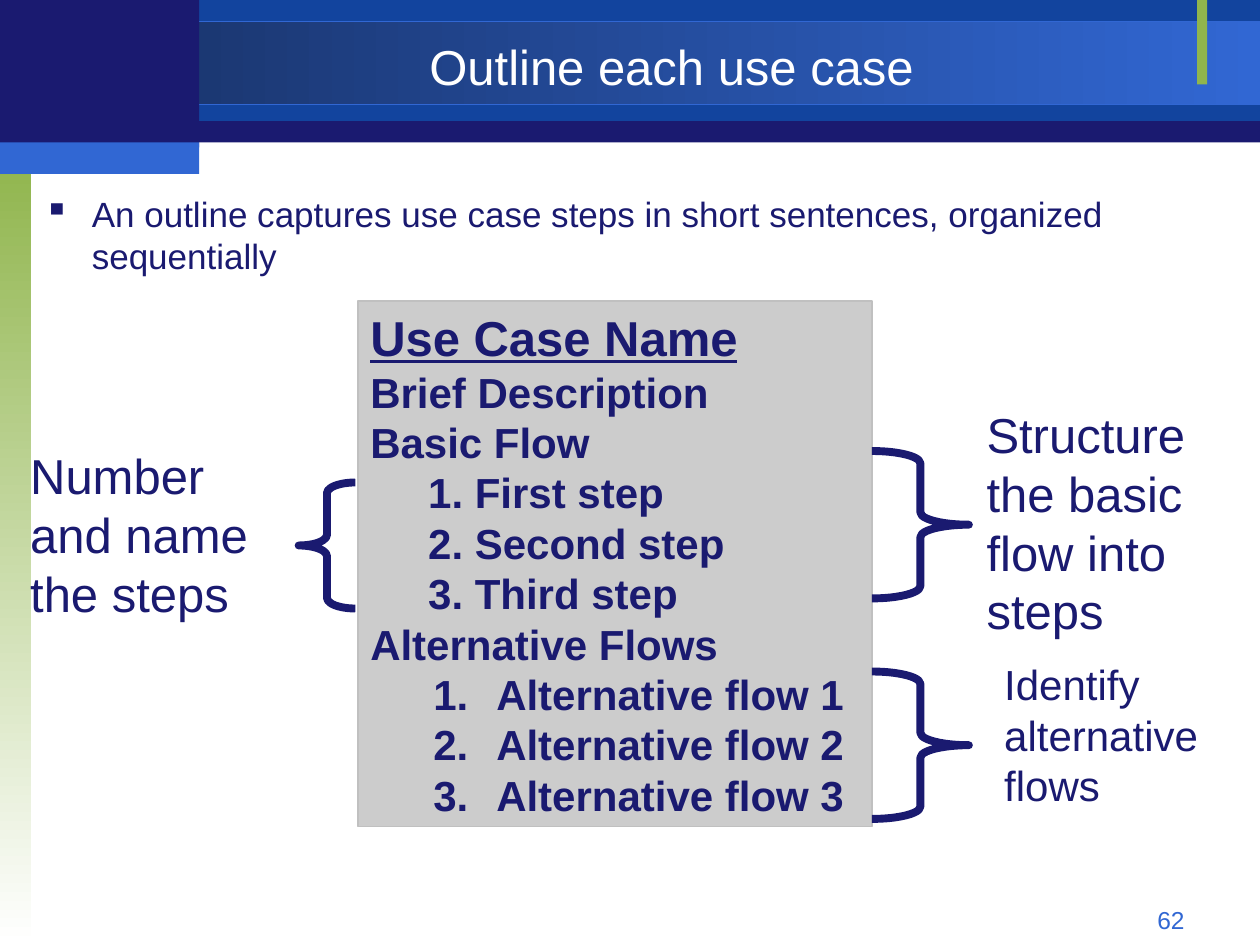
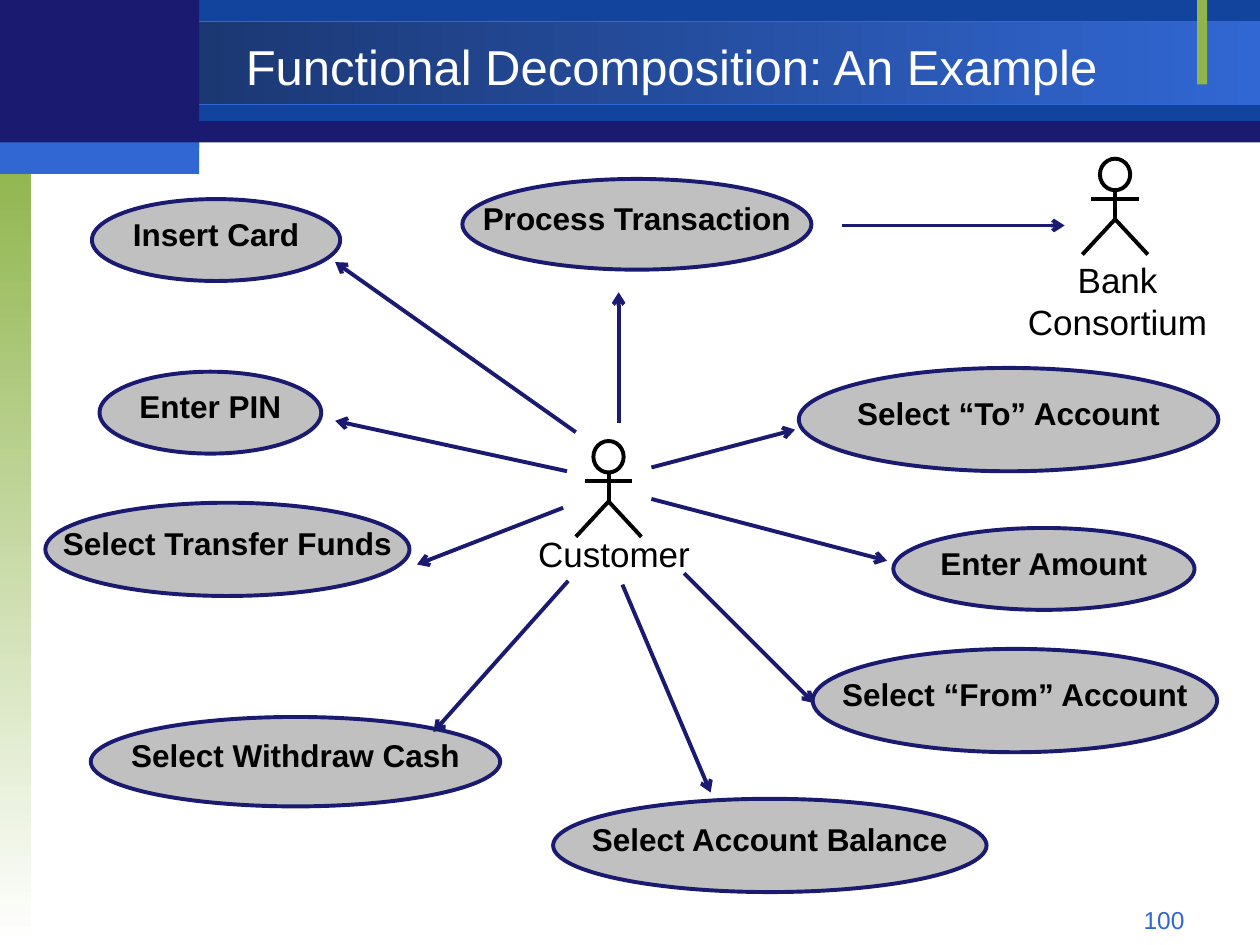
"""Build two slides on use cases: an outline and a functional decomposition."""
import lxml.etree
import pptx
import pptx.dml.color
import pptx.enum.shapes
import pptx.enum.text
import pptx.oxml.ns
import pptx.util

Inches = pptx.util.Inches
Pt = pptx.util.Pt
RGB = pptx.dml.color.RGBColor
KIND = pptx.enum.shapes.MSO_SHAPE
ALIGN = pptx.enum.text.PP_ALIGN
ANCHOR = pptx.enum.text.MSO_ANCHOR

NAVY = RGB(0x1A, 0x1A, 0x70)
ROYAL = RGB(0x12, 0x44, 0x9E)
DUSK = RGB(0x17, 0x2F, 0x61)
BLUE = RGB(0x31, 0x67, 0xD3)
GREEN = RGB(0x90, 0xB5, 0x4D)
GRAY = RGB(0xC0, 0xC0, 0xC0)
PALE = RGB(0xCC, 0xCC, 0xCC)
WHITE = RGB(0xFF, 0xFF, 0xFF)
BLACK = RGB(0, 0, 0)

FONT = "Arial"
SNUG = (0.1, 0.05, 0.1, 0.05)
ROOMY = (0.12, 0.06, 0.12, 0.06)
RAISED = (0.1, 0.05, 0.1, 0.15)

# box, fill (a pair fades), line, fade angle
BANDS = [
    ((0, 0.01, 10, 1.12), NAVY, None, 0),
    ((1.58, 0, 8.42, 0.96), ROYAL, None, 0),
    ((0, 0.17, 10, 0.66), (DUSK, BLUE), BLUE, 0),
    ((0, 1.25, 0.25, 6.25), (GREEN, WHITE), None, 270),
    ((9.5, 0, 0.08, 0.67), GREEN, None, 0),
    ((0, 0, 1.58, 1.17), NAVY, None, 0),
    ((0, 1.13, 1.58, 0.25), BLUE, None, 0),
]

POINT = "An outline captures use case steps in short sentences, organized sequentially"
HEADING = "Use Case Name"
# text, left margin, numbered
OUTLINE = [
    ("Brief Description", 0, False),
    ("Basic Flow", 0, False),
    ("1. First step", 0.46, False),
    ("2. Second step", 0.46, False),
    ("3. Third step", 0.46, False),
    ("Alternative Flows", 0, False),
    ("Alternative flow 1", 1, True),
    ("Alternative flow 2", 1, True),
    ("Alternative flow 3", 1, True),
]
LABELS = [
    ((7.71, 3.15, 2.15, 1.99), ["Structure the basic flow into steps"], 28),
    ((0.12, 3.48, 2.3, 1.52), ["Number and name the steps"], 28),
    ((7.85, 5.17, 2.15, 1.33), ["Identify", "alternative", "flows"], 24),
]
BRACES = [
    (KIND.RIGHT_BRACE, (6.92, 3.58, 0.77, 1.17), 0.127),
    (KIND.RIGHT_BRACE, (6.92, 5.33, 0.77, 1.17), 0.127),
    (KIND.LEFT_BRACE, (2.37, 3.83, 0.45, 1), 0.187),
]

CASES = [
    ("Enter PIN", (0.79, 2.95, 1.76, 0.65)),
    ("Insert Card", (0.73, 1.58, 1.97, 0.65)),
    ("Select “From” Account", (6.45, 5.15, 3.21, 0.82)),
    ("Enter Amount", (7.09, 4.19, 2.39, 0.65)),
    ("Select Withdraw Cash", (0.72, 5.69, 3.25, 0.71)),
    ("Select Account Balance", (4.39, 6.34, 3.44, 0.74)),
    ("Select Transfer Funds", (0.36, 3.99, 2.89, 0.74)),
    ("Select “To” Account", (6.34, 2.92, 3.33, 0.82)),
    ("Process Transaction", (3.67, 1.42, 2.77, 0.72)),
]
ARROWS = [
    (4.57, 3.43, 2.66, 2.08),
    (4.5, 3.74, 2.66, 3.34),
    (4.47, 4.03, 3.31, 4.48),
    (4.51, 4.61, 3.44, 5.81),
    (4.94, 4.64, 5.64, 6.29),
    (5.43, 4.55, 6.46, 5.58),
    (5.17, 3.96, 7.04, 4.45),
    (5.17, 3.71, 6.31, 3.41),
    (4.91, 3.36, 4.91, 2.32),
    (6.68, 1.79, 8.45, 1.79),
]
# name, head centre and top, label box, wrap
ACTORS = [
    ("Customer", (4.83, 3.5), (4.15, 4.17, 1.45, 0.46), False),
    ("Bank Consortium", (8.85, 1.26), (7.92, 1.99, 1.9, 0.78), True),
]


def style(shape, fill=None, line=None, width=0.75, angle=0):
    """Set fill and line, and drop the shadow."""
    shape.shadow.inherit = False
    if fill is None:
        shape.fill.background()
    elif isinstance(fill, RGB):
        shape.fill.solid()
        shape.fill.fore_color.rgb = fill
    else:
        shape.fill.gradient()
        shape.fill.gradient_angle = angle
        for stop, tone, place in zip(shape.fill.gradient_stops, fill, (0, 1)):
            stop.color.rgb = tone
            stop.position = place
    if line is None:
        shape.line.fill.background()
    else:
        shape.line.color.rgb = line
        shape.line.width = Pt(width)


def draw(shapes, kind, box, **look):
    """Add a preset shape."""
    shape = shapes.add_shape(kind, *map(Inches, box))
    style(shape, **look)
    return shape


def link(shapes, ends, tone, arrow=False):
    """Add a straight line, with an arrowhead if asked."""
    line = shapes.add_connector(
        pptx.enum.shapes.MSO_CONNECTOR.STRAIGHT, *map(Inches, ends))
    line.line.color.rgb = tone
    line.line.width = Pt(2.25)
    qn = pptx.oxml.ns.qn
    if arrow:
        stroke = line.line._get_or_add_ln()
        lxml.etree.SubElement(stroke, qn("a:tailEnd"), type="arrow")
    lxml.etree.SubElement(line._element.spPr, qn("a:effectLst"))


def write(shape, texts, size, tone, bold=False, align=ALIGN.LEFT,
          anchor=ANCHOR.TOP, pad=SNUG, wrap=True):
    """Fill a shape with paragraphs and return them."""
    frame = shape.text_frame
    frame.word_wrap = wrap
    frame.vertical_anchor = anchor
    (frame.margin_left, frame.margin_top,
     frame.margin_right, frame.margin_bottom) = map(Inches, pad)
    frame.text = "\n".join(texts)
    for para in frame.paragraphs:
        para.alignment = align
        para.font.name = FONT
        para.font.size = Pt(size)
        para.font.bold = bold
        para.font.color.rgb = tone
    return frame.paragraphs


def label(slide, box, texts, size, tone, **look):
    """Add a text box."""
    shape = slide.shapes.add_textbox(*map(Inches, box))
    return write(shape, texts, size, tone, **look)


def indent(para, left, hang=0, tag=None, **marks):
    """Set the left margin, the hanging indent and the bullet."""
    props = para._p.get_or_add_pPr()
    props.set("marL", str(Inches(left)))
    props.set("indent", str(-Inches(hang)))
    if tag:
        bullet = lxml.etree.Element(pptx.oxml.ns.qn(tag), **marks)
        props.insert(0, bullet)


def start(deck, title, number):
    """Add a slide with its bands, title and number."""
    slide = deck.slides.add_slide(deck.slide_layouts[6])
    for box, fill, line, angle in BANDS:
        draw(slide.shapes, KIND.RECTANGLE, box, fill=fill, line=line, angle=angle)
    label(slide, (1.58, 0.23, 7.5, 0.58), [title], 28, WHITE,
          align=ALIGN.CENTER, anchor=ANCHOR.MIDDLE)
    label(slide, (7.17, 7.13, 2.33, 0.27), [number], 14, BLUE, align=ALIGN.RIGHT)
    return slide


def outline(deck):
    """Build the outline slide."""
    slide = start(deck, "Outline each use case", "62")
    point = label(slide, (0.25, 1.48, 9.42, 0.77), [POINT], 20, NAVY)[0]
    indent(point, 0.38, 0.38, "a:buChar", char="▪")

    card = draw(slide.shapes, KIND.RECTANGLE, (2.84, 2.39, 4.08, 4.17),
                fill=PALE, line=GRAY)
    texts = [HEADING] + [text for text, _, _ in OUTLINE]
    head, *rows = write(card, texts, 24, NAVY, bold=True)
    head.font.size = Pt(28)
    head.font.underline = True
    for para, (_, left, numbered) in zip(rows, OUTLINE):
        if numbered:
            para.level = 1
            indent(para, left, 0.5, "a:buAutoNum", type="arabicPeriod")
        else:
            indent(para, left)

    for kind, box, curl in BRACES:
        brace = draw(slide.shapes, kind, box, line=NAVY, width=4.5)
        brace.adjustments[0] = curl
    for box, texts, size in LABELS:
        label(slide, box, texts, size, NAVY, pad=ROOMY)


def person(slide, x, y):
    """Draw a stick figure from the centre top of its head."""
    group = slide.shapes.add_group_shape().shapes
    draw(group, KIND.OVAL, (x - 0.12, y, 0.24, 0.25), line=BLACK, width=2.25)
    link(group, (x, y + 0.25, x, y + 0.48), BLACK)
    link(group, (x - 0.19, y + 0.32, x + 0.19, y + 0.32), BLACK)
    foot = y + 0.76
    path = group.build_freeform(Inches(x - 0.26), Inches(foot))
    path.add_line_segments(
        [(Inches(x), Inches(y + 0.48)), (Inches(x + 0.26), Inches(foot))],
        close=False)
    style(path.convert_to_shape(), line=BLACK, width=2.25)


def example(deck):
    """Build the decomposition slide."""
    slide = start(deck, "Functional Decomposition: An Example", "100")
    for text, box in CASES:
        case = draw(slide.shapes, KIND.OVAL, box, fill=GRAY, line=NAVY, width=2.25)
        write(case, [text], 18, BLACK, bold=True, align=ALIGN.CENTER,
              anchor=ANCHOR.MIDDLE, pad=RAISED, wrap=False)
    for name, head, box, wrap in ACTORS:
        person(slide, *head)
        label(slide, box, [name], 20, BLACK, pad=ROOMY, wrap=wrap,
              align=ALIGN.CENTER if wrap else ALIGN.LEFT)
    for ends in ARROWS:
        link(slide.shapes, ends, NAVY, arrow=True)


def main():
    """Build and save the deck."""
    deck = pptx.Presentation()
    deck.slide_width, deck.slide_height = Inches(10), Inches(7.5)
    outline(deck)
    example(deck)
    deck.save("out.pptx")


if __name__ == "__main__":
    main()
